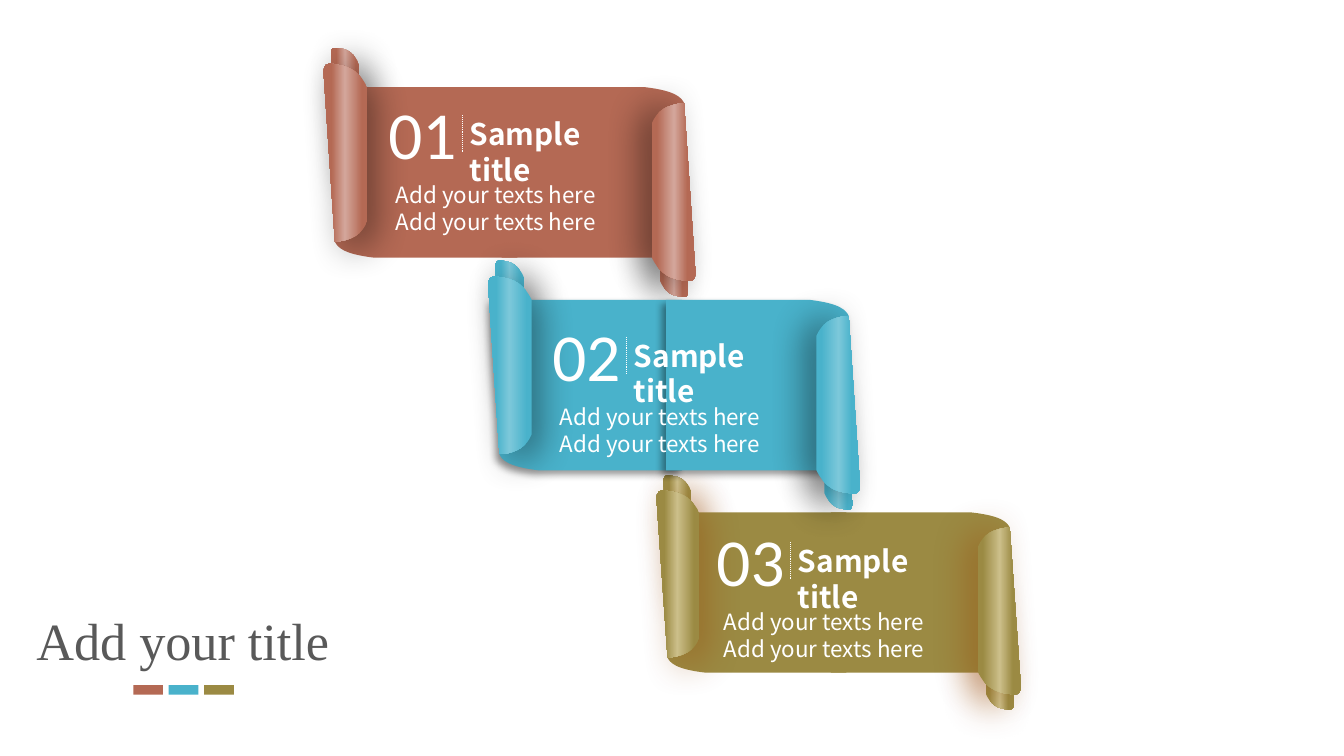
"""Build a slide with three numbered paper scrolls stepping down to the right."""
from copy import deepcopy
from dataclasses import dataclass

from lxml.etree import SubElement
from pptx import Presentation
from pptx.dml.color import RGBColor as RGB
from pptx.enum.dml import MSO_LINE
from pptx.enum.shapes import MSO_CONNECTOR, MSO_SHAPE
from pptx.enum.text import PP_ALIGN as Align
from pptx.oxml.ns import qn
from pptx.util import Cm, Pt


@dataclass(frozen=True)
class Theme:
    white: str = "FFFFFF"
    title_ink: str = "595959"
    clay: tuple = ("B46954", "D4A79C", "000000")
    sky: tuple = ("49B2CB", "7CC8DA", "000000")
    olive: tuple = ("9B8A43", "CCBF8A", "984807")
    number_font: str = "Calibri"
    text_font: str = "Noto Sans CJK KR"
    title_font: str = "Times New Roman"
    number_size: int = 36
    heading_size: int = 16
    detail_size: int = 12
    title_size: int = 28


theme = Theme()

TAIL = ((-3.38, -2.22), [
    [(-3.23, 0.04)],
    [(-3, 0.01), (-2.92, -0.06), (-2.84, -0.22)],
    [(-2.84, -2.04)],
    [(-2.97, -2.35), (-3.18, -2.33), (-3.23, -2.35)],
    [(-3.33, -2.37), (-3.38, -2.35), (-3.38, -2.22)],
])
SHEET = ((0.15, 1.61), [
    [(-2.57, 1.61)],
    [(-3.15, 1.54), (-3.25, 1.41), (-3.3, 1.31)],
    [(-3.3, 0.42), (-3.43, -0.72), (-3.43, -1.61)],
    [(0.15, -1.61)],
])
ROLL = ((-3.51, -1.84), [
    [(-3.3, 1.31)],
    [(-2.95, 1.28), (-2.79, 1.16), (-2.69, 0.93)],
    [(-2.69, -1.61)],
    [(-2.9, -2.04), (-3.2, -2.02), (-3.3, -2.04)],
    [(-3.45, -2.1), (-3.53, -2.02), (-3.51, -1.84)],
])

deck = Presentation()
deck.slide_width, deck.slide_height = Cm(25.4), Cm(14.29)
slide = deck.slides.add_slide(deck.slide_layouts[6])
shapes = slide.shapes


def add_piece(outline, center, stretch, side, colors, shadow):
    def place(point):
        return tuple(Cm(c + side * s * p) for c, s, p in zip(center, stretch, point))

    start, segments = outline
    points = [place(point) for segment in segments for point in segment]
    builder = shapes.build_freeform(*place(start), scale=1.0)
    piece = builder.add_line_segments(points, close=True).convert_to_shape()
    properties = piece._element.spPr
    contour = properties.find(".//" + qn("a:path"))
    steps = iter(contour.findall(qn("a:lnTo")))
    for segment in segments:
        step = next(steps)
        if len(segment) == 3:
            step.tag = qn("a:cubicBezTo")
            for _ in range(2):
                extra = next(steps)
                step.append(extra[0])
                contour.remove(extra)

    base, shine, shade = colors
    piece.line.fill.background()
    if outline is SHEET:
        piece.fill.solid()
        piece.fill.fore_color.rgb = RGB.from_string(base)
    else:
        piece.fill.gradient()
        piece.fill.gradient_angle = 180 if side == 1 else 0
        stops = properties.find(".//" + qn("a:gsLst"))
        stops.append(deepcopy(stops[0]))
        ramp = ((0.11, base), (0.5, shine), (0.8, base))
        for stop, (position, color) in zip(piece.fill.gradient_stops, ramp):
            stop.position = position
            stop.color.rgb = RGB.from_string(color)

    piece.shadow.inherit = False
    if shadow:
        blur, distance, angle = shadow
        cast = SubElement(properties.find(qn("a:effectLst")), qn("a:outerShdw"),
                          blurRad=str(Pt(blur)), dist=str(Pt(distance)),
                          dir=str(angle * 60000), algn="ctr", rotWithShape="0")
        tint = SubElement(cast, qn("a:srgbClr"), val=shade)
        SubElement(tint, qn("a:alpha"), val="40000")


def add_label(lines, left, top, width, height, font, size, color, align=Align.LEFT, bold=False):
    frame = shapes.add_textbox(Cm(left), Cm(top), Cm(width), Cm(height)).text_frame
    frame.word_wrap = True
    frame.text = "\n".join(lines)
    for paragraph in frame.paragraphs:
        paragraph.alignment = align
        paragraph.font.name = font
        paragraph.font.size = Pt(size)
        paragraph.font.bold = bold
        paragraph.font.color.rgb = RGB.from_string(color)


scrolls = [
    ((15.85, 11.2), (0.98, 0.94), theme.olive, None),
    ((9.63, 3.26), (1, 1), theme.clay, None),
    ((12.74, 7.28), (1, 1), theme.sky, (4, 3, 135)),
]
for center, stretch, colors, sheet_shadow in scrolls:
    for side, angle in ((1, 45), (-1, 180)):
        roll_shadow = (19, 7, angle)
        for outline, shadow in ((TAIL, roll_shadow), (SHEET, sheet_shadow), (ROLL, roll_shadow)):
            add_piece(outline, center, stretch, side, colors, shadow)

entries = [("01", 6.83, 1.63), ("02", 9.93, 5.82), ("03", 13.03, 9.7)]
for number, left, top in entries:
    add_label([number], left, top, 2.31, 1.8, theme.number_font, theme.number_size,
              theme.white, Align.CENTER)
    add_label(["Sample title"], left + 1.8, top + 0.43, 3.68, 0.94, theme.text_font,
              theme.heading_size, theme.white, bold=True)
    add_label(["Add your texts here"] * 2, left + 0.4, top + 1.67, 4.8, 1.28, theme.text_font,
              theme.detail_size, theme.white)
    divider = shapes.add_connector(MSO_CONNECTOR.STRAIGHT, Cm(left + 1.91), Cm(top + 0.55),
                                   Cm(left + 1.91), Cm(top + 1.24))
    divider.line.color.rgb = RGB.from_string(theme.white)
    divider.line.width = Pt(0.5)
    divider.line.dash_style = MSO_LINE.ROUND_DOT
    SubElement(divider._element.spPr, qn("a:effectLst"))

for index, (base, _, _) in enumerate((theme.clay, theme.sky, theme.olive)):
    swatch = shapes.add_shape(MSO_SHAPE.RECTANGLE, Cm(2.52 + 0.67 * index), Cm(12.95),
                              Cm(0.56), Cm(0.18))
    swatch.shadow.inherit = False
    swatch.fill.solid()
    swatch.fill.fore_color.rgb = RGB.from_string(base)
    swatch.line.fill.background()

add_label(["Add your title"], 0.05, 11.38, 6.81, 1.45, theme.title_font, theme.title_size,
          theme.title_ink, Align.CENTER)

deck.save("out.pptx")
